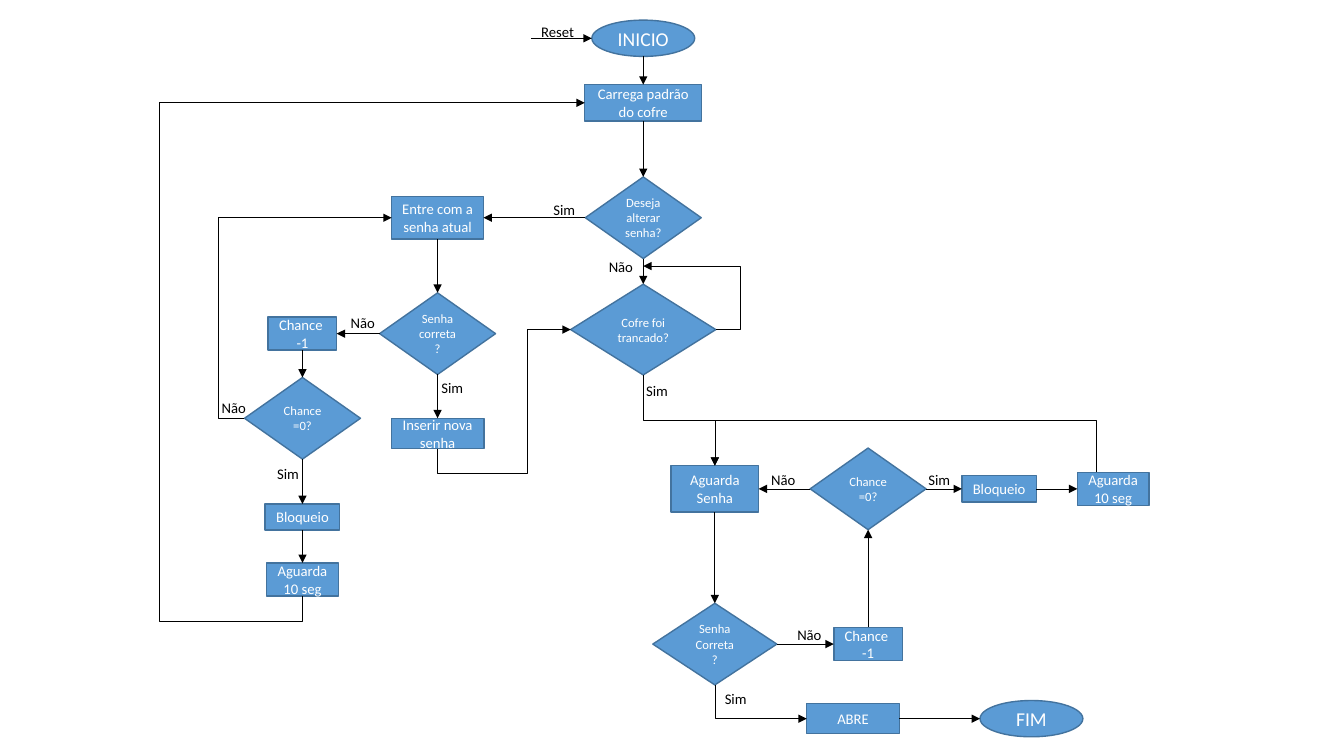
from dataclasses import dataclass

from lxml.etree import SubElement
from pptx import Presentation
from pptx.dml.color import RGBColor
from pptx.enum.shapes import MSO_CONNECTOR as LINE, MSO_SHAPE as SHAPE
from pptx.enum.text import MSO_ANCHOR, MSO_AUTO_SIZE, PP_ALIGN
from pptx.oxml.ns import qn
from pptx.util import Inches, Pt

FONT = "Calibri"
BLUE, EDGE, WHITE, BLACK = "5B9BD5", "43739E", "FFFFFF", "000000"
Point = tuple[float, float]


@dataclass
class Node:
    """A flowchart step, placed by its centre."""
    kind: SHAPE
    text: str
    x: float
    y: float
    w: float
    h: float
    size: float = 10.5

    @property
    def top(self) -> Point:
        return self.x, self.y - self.h / 2

    @property
    def bottom(self) -> Point:
        return self.x, self.y + self.h / 2

    @property
    def left(self) -> Point:
        return self.x - self.w / 2, self.y

    @property
    def right(self) -> Point:
        return self.x + self.w / 2, self.y


@dataclass
class Label:
    text: str
    x: float
    y: float
    w: float = 0.43


def color(hex_code: str) -> RGBColor:
    return RGBColor.from_string(hex_code)


def add_run(p, text: str, size: float, hex_code: str) -> None:
    r = p.add_run()
    r.text = text
    r.font.name, r.font.size = FONT, Pt(size)
    r.font.color.rgb = color(hex_code)


def draw_node(s, n: Node) -> None:
    sp = s.shapes.add_shape(n.kind, Inches(n.left[0]), Inches(n.top[1]),
                            Inches(n.w), Inches(n.h))
    sp.shadow.inherit = False
    sp.fill.solid()
    sp.fill.fore_color.rgb = color(BLUE)
    sp.line.color.rgb = color(EDGE)
    sp.line.width = Pt(1)
    tf = sp.text_frame
    tf.word_wrap = True
    tf.vertical_anchor = MSO_ANCHOR.MIDDLE
    for i, text in enumerate(n.text.split("\n")):
        p = tf.add_paragraph() if i else tf.paragraphs[0]
        p.alignment = PP_ALIGN.CENTER
        add_run(p, text, n.size, WHITE)


def draw_label(s, label: Label) -> None:
    sp = s.shapes.add_textbox(Inches(label.x), Inches(label.y), Inches(label.w), Inches(0.28))
    tf = sp.text_frame
    tf.word_wrap = False
    tf.auto_size = MSO_AUTO_SIZE.SHAPE_TO_FIT_TEXT
    add_run(tf.paragraphs[0], label.text, 10.5, BLACK)


def bend(cx, points: list[Point]) -> None:
    """Shape an elbow connector so that it follows right-angled points."""
    (x0, y0), (x1, y1) = points[0], points[-1]
    dx, dy = x1 - x0, y1 - y0
    upright = points[1][0] == x0
    w, h = (abs(dy), abs(dx)) if upright else (abs(dx), abs(dy))
    cx.left, cx.top = Inches((x0 + x1 - w) / 2), Inches((y0 + y1 - h) / 2)
    cx.width, cx.height = Inches(w), Inches(h)

    # An upright first leg is a quarter turn; a single flip becomes a half turn
    rot = 90 if upright else 0
    flip_h, flip_v = (dy < 0, dx > 0) if upright else (dx < 0, dy < 0)
    if flip_h != flip_v:
        rot, flip_h, flip_v = rot + 180, flip_v, flip_h
    spPr = cx._element.spPr
    xfrm = spPr.find(qn("a:xfrm"))
    for key, value in (("rot", rot * 60000), ("flipH", int(flip_h)), ("flipV", int(flip_v))):
        xfrm.set(key, str(value))

    # Each inner leg sits at a share of the whole distance
    geom = spPr.find(qn("a:prstGeom"))
    geom.set("prst", f"bentConnector{len(points) - 1}")
    guides = geom.find(qn("a:avLst"))
    if guides is None:
        guides = SubElement(geom, qn("a:avLst"))
    for i, (x, y) in enumerate(points[1:-2], 1):
        along_y = upright == (i % 2 == 1)
        share = (y - y0) / dy if along_y else (x - x0) / dx
        SubElement(guides, qn("a:gd"), name=f"adj{i}", fmla=f"val {round(share * 100000)}")


def draw_arrow(s, *points: Point) -> None:
    kind = LINE.ELBOW if len(points) > 2 else LINE.STRAIGHT
    ends = [Inches(v) for v in points[0] + points[-1]]
    cx = s.shapes.add_connector(kind, *ends)
    if len(points) > 2:
        bend(cx, list(points))
    cx.line.color.rgb = color(BLACK)
    cx.line.width = Pt(0.5)
    spPr = cx._element.spPr
    SubElement(spPr.find(qn("a:ln")), qn("a:tailEnd"), type="triangle")
    SubElement(spPr, qn("a:effectLst"))


def box(text: str, x: float, y: float, w: float, h: float) -> Node:
    return Node(SHAPE.RECTANGLE, text, x, y, w, h)


def choice(text: str, x: float, y: float, w: float = 1.15, h: float = 0.81) -> Node:
    return Node(SHAPE.DIAMOND, text, x, y, w, h, 9)


def terminal(text: str, x: float, y: float) -> Node:
    return Node(SHAPE.OVAL, text, x, y, 1.02, 0.36, 14)


prs = Presentation()
prs.slide_width, prs.slide_height = Inches(13.33), Inches(7.5)
s = prs.slides.add_slide(prs.slide_layouts[6])

# Column centres, and the row of the unlocking loop
MAIN, CHANGE, RETRY, OPEN, CHECK = 6.38, 4.34, 3, 7.09, 8.61
LOOP = 4.85

# Main column
start = terminal("INICIO", MAIN, 0.38)
load = box("Carrega padrão do cofre", MAIN, 1.02, 1.16, 0.36)
wants = choice("Deseja alterar senha?", MAIN, 2.16)
locked = choice("Cofre foi trancado?", MAIN, 3.27, 1.44, 0.9)
# Changing the password
current = box("Entre com a senha atual", CHANGE, 2.16, 0.91, 0.42)
correct = choice("Senha correta?", CHANGE, 3.31)
insert = box("Inserir nova senha", CHANGE, 4.3, 0.92, 0.3)
minus = box("Chance \n-1", RETRY, 3.31, 0.68, 0.33)
zero = choice("Chance =0?", RETRY, 4.15)
block = box("Bloqueio", RETRY, 5.13, 0.74, 0.26)
pause = box("Aguarda 10 seg", RETRY, 5.75, 0.71, 0.33)
# Opening the safe
await_code = box("Aguarda Senha", OPEN, LOOP, 0.87, 0.46)
open_correct = choice("Senha Correta?", OPEN, 6.39, 1.23)
open_minus = box("Chance \n-1", CHECK, 6.39, 0.68, 0.33)
open_zero = choice("Chance =0?", CHECK, LOOP)
open_block = box("Bloqueio", 9.91, LOOP, 0.74, 0.26)
open_pause = box("Aguarda 10 seg", 11.04, LOOP, 0.71, 0.33)
opens = box("ABRE", 8.46, 7.13, 0.92, 0.3)
end = terminal("FIM", 10.23, 7.13)

for node in (start, load, wants, locked, current, correct, insert, minus, zero, block, pause,
             await_code, open_correct, open_minus, open_zero, open_block, open_pause, opens, end):
    draw_node(s, node)

# Straight arrows
draw_arrow(s, (5.27, start.y), start.left)
for upper, lower in ((start, load), (load, wants), (wants, locked), (current, correct),
                     (correct, insert), (minus, zero), (zero, block), (block, pause),
                     (await_code, open_correct)):
    draw_arrow(s, upper.bottom, lower.top)
for source, target in ((wants, current), (correct, minus), (open_zero, await_code)):
    draw_arrow(s, source.left, target.right)
for source, target in ((open_correct, open_minus), (open_zero, open_block),
                       (open_block, open_pause), (opens, end)):
    draw_arrow(s, source.right, target.left)
draw_arrow(s, open_minus.top, open_zero.bottom)

# Bent arrows
draw_arrow(s, zero.left, (2.17, zero.y), (2.17, current.y), current.left)
draw_arrow(s, locked.right, (7.34, locked.y), (7.34, 2.64), (MAIN, 2.64))
draw_arrow(s, insert.bottom, (CHANGE, 4.7), (5.23, 4.7), (5.23, locked.y), locked.left)
draw_arrow(s, pause.bottom, (RETRY, 6.17), (1.58, 6.17), (1.58, load.y), load.left)
draw_arrow(s, locked.bottom, (MAIN, 4.17), (OPEN, 4.17), await_code.top)
draw_arrow(s, (10.87, open_pause.top[1]), (10.87, 4.17), (OPEN, 4.17), await_code.top)
draw_arrow(s, open_correct.bottom, (OPEN, opens.y), opens.left)

# Branch labels
draw_label(s, Label("Reset", 5.27, 0.18, 0.54))
for x, y in ((5.39, 1.94), (4.28, 3.71), (6.31, 3.74), (9.11, 4.62), (2.65, 4.56), (7.09, 6.79)):
    draw_label(s, Label("Sim", x, y))
for x, y in ((5.94, 2.51), (3.38, 3.06), (2.1, 3.91), (7.81, 6.16), (7.55, 4.62)):
    draw_label(s, Label("Não", x, y, 0.44))

prs.save("out.pptx")
